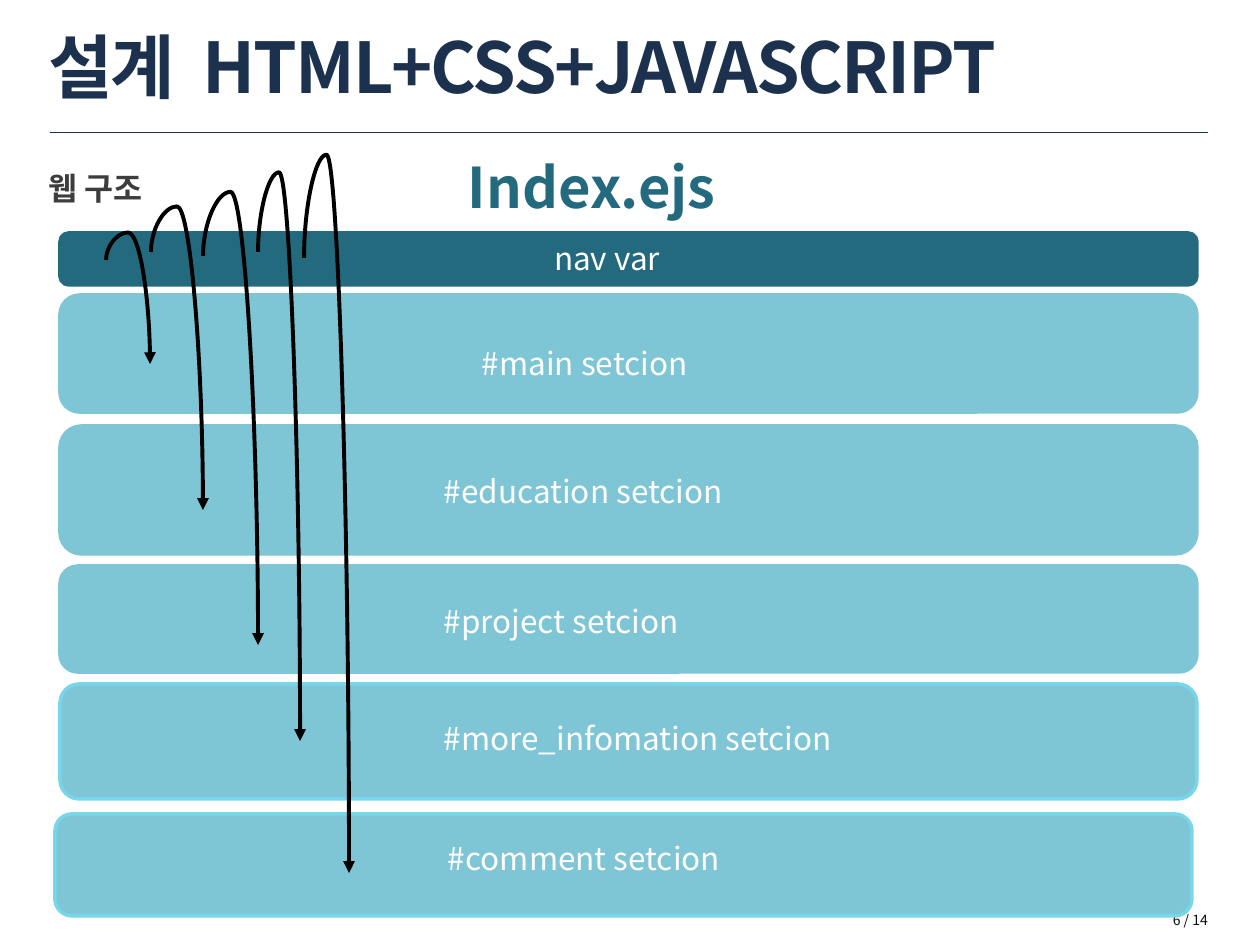
from lxml.etree import SubElement
from pptx import Presentation
from pptx.dml.color import RGBColor
from pptx.enum.shapes import MSO_CONNECTOR as Connector, MSO_SHAPE as Shape
from pptx.enum.text import MSO_ANCHOR as Anchor, PP_ALIGN as Align
from pptx.oxml.ns import qn
from pptx.util import Emu, Pt

PX_PER_INCH = 126
COLORS = {
    "navy": "1C314E",
    "teal": "246A7F",
    "aqua": "7EC5D5",
    "bright": "78D6EA",
    "gray": "3D3C3E",
    "ink": "0D0D0D",
    "black": "000000",
    "white": "FFFFFF",
}


def px(value):
    return Emu(round(value * 914400 / PX_PER_INCH))


def color(name):
    return RGBColor.from_string(COLORS[name])


class SlideBuilder:
    font = "Noto Sans CJK KR"

    def __init__(self, slide):
        self.slide = slide

    def text(self, box, runs, size, fill, bold=False, align=Align.LEFT,
             anchor=Anchor.TOP):
        """Add one paragraph; runs are (text, letter spacing in points)."""
        shape = self.slide.shapes.add_textbox(*map(px, box))
        frame = shape.text_frame
        frame.word_wrap = True
        frame.vertical_anchor = anchor
        frame.margin_left = frame.margin_right = px(13)
        frame.margin_top = frame.margin_bottom = px(6)
        paragraph = frame.paragraphs[0]
        paragraph.alignment = align
        for words, spacing in runs:
            run = paragraph.add_run()
            run.text = words
            run.font.size = Pt(size)
            run.font.bold = bold
            run.font.name = self.font
            run.font.color.rgb = color(fill)
            properties = run._r.get_or_add_rPr()
            SubElement(properties, qn("a:ea"), typeface=self.font)
            if spacing:
                properties.set("spc", str(round(spacing * 100)))

    def panel(self, box, fill, outline):
        shape = self.slide.shapes.add_shape(Shape.ROUNDED_RECTANGLE, *map(px, box))
        shape.shadow.inherit = False
        shape.fill.solid()
        shape.fill.fore_color.rgb = color(fill)
        shape.line.color.rgb = color(outline)
        shape.line.width = Pt(2)

    def line(self, kind, start, end, fill, width):
        connector = self.slide.shapes.add_connector(kind, *map(px, start + end))
        connector.line.color.rgb = color(fill)
        connector.line.width = Pt(width)
        SubElement(connector._element.spPr, qn("a:effectLst"))
        return connector

    def hook_arrow(self, start, end, rise):
        """Curve that rises above start by a share of the drop, then falls to end."""
        middle_x, middle_y = (start[0] + end[0]) / 2, (start[1] + end[1]) / 2
        half_run, half_drop = (end[0] - start[0]) / 2, (end[1] - start[1]) / 2
        # The quarter turn swaps width and height around the centre.
        connector = self.line(
            Connector.CURVE,
            (middle_x + half_drop, middle_y - half_run),
            (middle_x - half_drop, middle_y + half_run),
            "black", 2.25)
        properties = connector._element.spPr
        properties.find(qn("a:xfrm")).set("rot", str(270 * 60000))
        geometry = properties.find(qn("a:prstGeom"))
        guides = geometry.find(qn("a:avLst"))
        if guides is None:
            guides = SubElement(geometry, qn("a:avLst"))
        SubElement(guides, qn("a:gd"), name="adj1", fmla=f"val {round(-rise * 100000)}")
        SubElement(properties.find(qn("a:ln")), qn("a:tailEnd"), type="triangle")


def main():
    presentation = Presentation()
    presentation.slide_width, presentation.slide_height = px(1260), px(945)
    builder = SlideBuilder(presentation.slides.add_slide(presentation.slide_layouts[6]))

    builder.line(Connector.STRAIGHT, (50, 132), (1208, 132), "navy", 0.25)
    # The wide space sets the topic apart from the heading.
    builder.text((35, 25, 1176, 81),
                 [("설계", -1.1), (" ", 6.8), ("HTML+CSS+JAVASCRIPT", -1.1)],
                 40, "navy", bold=True, anchor=Anchor.MIDDLE)
    builder.text((1003, 905, 218, 30), [("6 / 14", 0)], 8, "ink", align=Align.RIGHT)
    builder.text((35, 163, 1168, 176), [("웹 구조", 0)], 18, "gray", bold=True)
    builder.text((455, 147, 373, 81), [("Index.ejs", 0)], 32, "teal", bold=True)

    # Panel left, top, height, fill, outline; label left, top, width, words
    sections = [
        (60, 233, 52, "teal", "teal", 541, 233, 321, "nav var"),
        (60, 295, 117, "aqua", "aqua", 469, 338, 321, "#main setcion"),
        (60, 426, 128, "aqua", "aqua", 431, 466, 398, "#education setcion"),
        (60, 566, 106, "aqua", "aqua", 431, 596, 398, "#project setcion"),
        (60, 684, 115, "aqua", "bright", 431, 713, 578, "#more_infomation setcion"),
        (55, 814, 102, "aqua", "bright", 435, 833, 398, "#comment setcion"),
    ]
    for left, top, height, fill, outline, label_left, label_top, width, words in sections:
        builder.panel((left, top, 1137, height), fill, outline)
        builder.text((label_left, label_top, width, 50), [(words, 0)], 18, "white")

    hooks = [
        ((106, 260), (150, 364), 0.265),
        ((151, 252), (203, 510), 0.177),
        ((203, 256), (258, 645), 0.165),
        ((258, 252), (300, 741), 0.163),
        ((304, 258), (349, 873), 0.168),
    ]
    for start, end, rise in hooks:
        builder.hook_arrow(start, end, rise)

    presentation.save("out.pptx")


if __name__ == "__main__":
    main()
